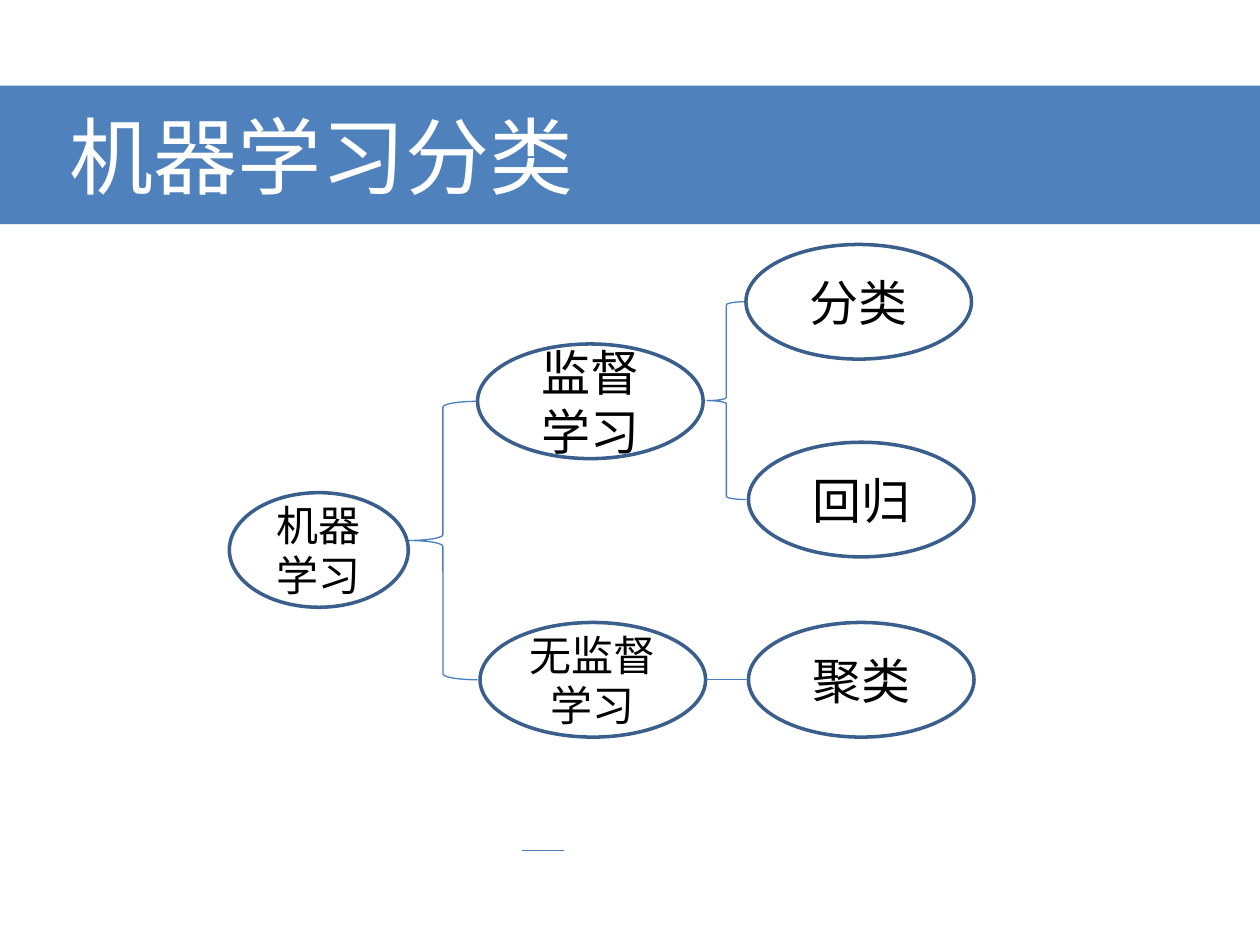
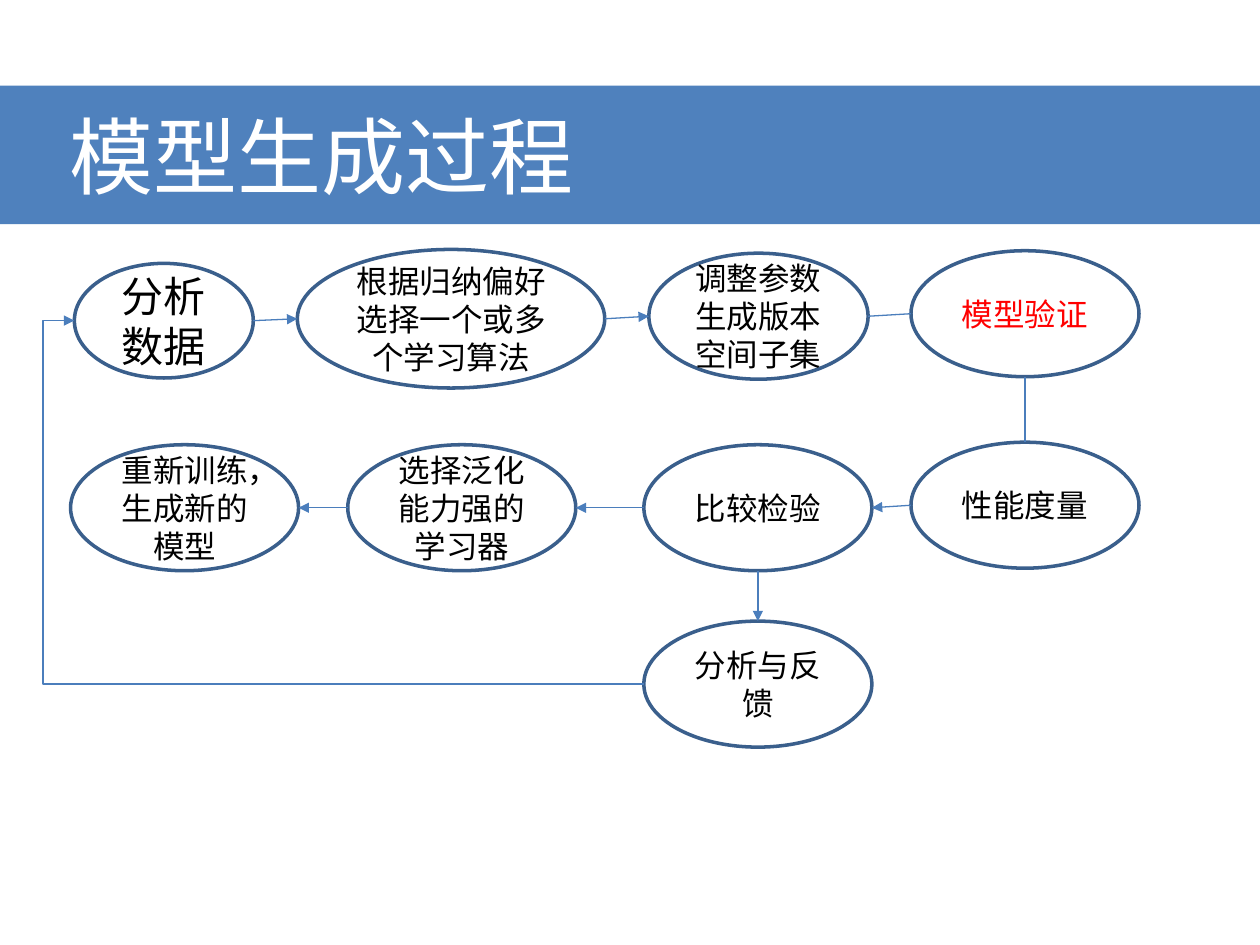
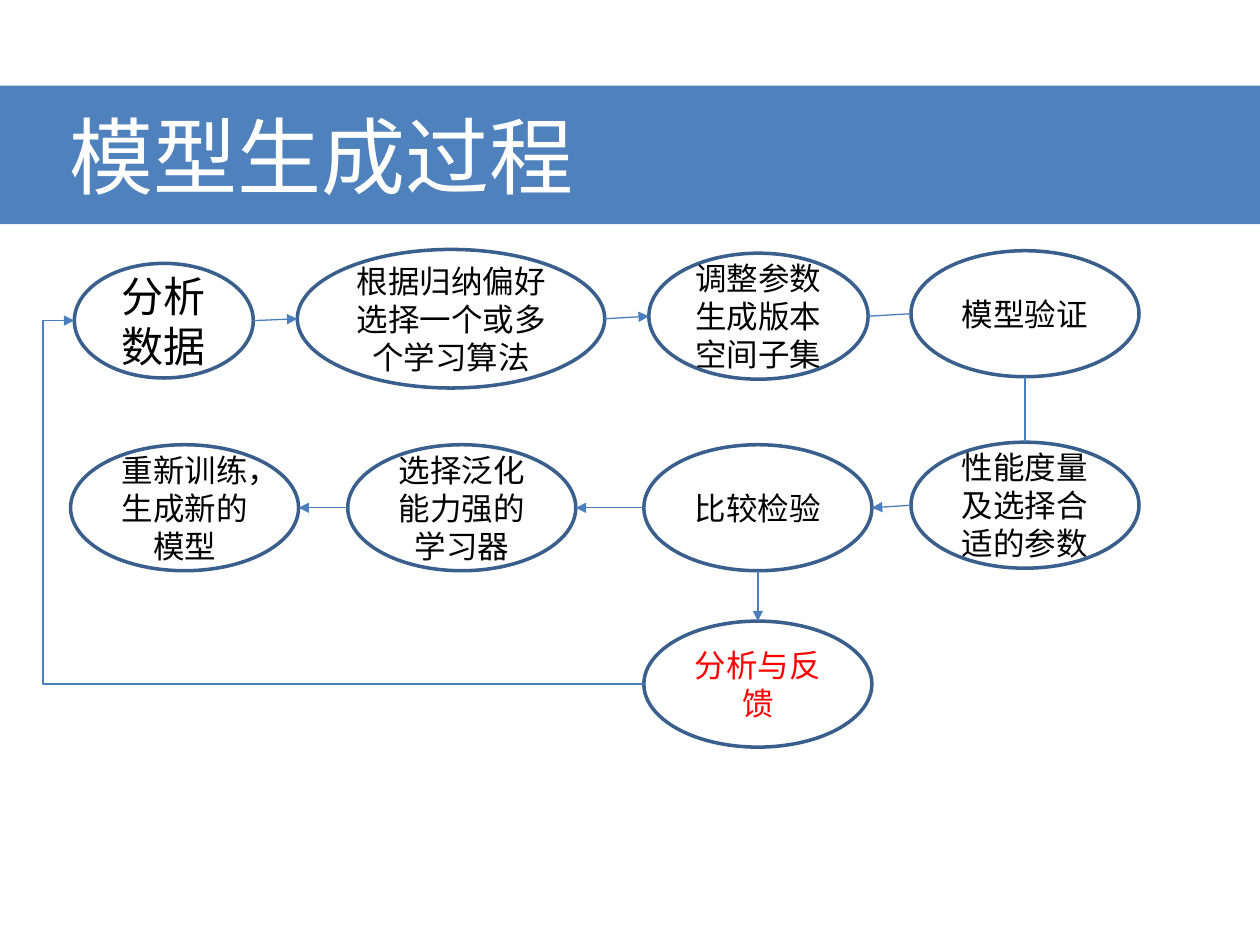
import pptx
import pptx.dml.color
import pptx.enum.shapes
import pptx.enum.text
import pptx.oxml.ns
import pptx.util
from lxml import etree

COLORS = {"band": "4F81BD", "title": "FFFFFF", "outline": "3A5F8C",
          "link": "4B7EBC", "text": "000000", "accent": "FF0000"}
LATIN, CJK = "Calibri", "Noto Sans CJK SC"
SLIDE_W, SLIDE_H = pptx.util.Inches(10), pptx.util.Inches(7.5)
COLS, ROWS = 100, 75
BAND = (0, 6.8, 100, 11)
BODY = (0, 18, 100, 57)
TOP, LEFT, BOTTOM, RIGHT = range(4)
SHAPE = pptx.enum.shapes.MSO_SHAPE
CONNECTOR = pptx.enum.shapes.MSO_CONNECTOR
ALIGN = pptx.enum.text.PP_ALIGN

TREE = {
    "root": ("机器学习", 24, (18.2, 21.1, 14.2, 9.1)),
    "supervised": ("监督学习", 28, (37.9, 9.3, 17.9, 9.1)),
    "unsupervised": ("无监督学习", 24, (38.1, 31.4, 17.9, 9.1)),
    "classification": ("分类", 28, (59.2, 1.4, 17.9, 9.1)),
    "regression": ("回归", 28, (59.4, 17.1, 17.9, 9.1)),
    "clustering": ("聚类", 28, (59.4, 31.4, 17.9, 9.1)),
}
FLOW = {
    "analyse": ("分析数据", 24, (5.9, 2.9, 14.2, 9.1)),
    "choose": ("根据归纳偏好选择一个或多个学习算法", 18, (23.6, 1.8, 24.4, 11)),
    "tune": ("调整参数生成版本空间子集", 18, (51.5, 2.1, 17.4, 10)),
    "validate": ("模型验证", 18, (72.3, 1.9, 18.1, 10)),
    "measure": ("性能度量", 18, (72.3, 17.1, 18.1, 10)),
    "compare": ("比较检验", 18, (51.1, 17.3, 18.1, 10)),
    "select": ("选择泛化能力强的学习器", 18, (27.6, 17.3, 18.1, 10)),
    "retrain": ("重新训练，生成新的模型", 18, (5.6, 17.3, 18.1, 10)),
    "feedback": ("分析与反馈", 18, (51.1, 31.3, 18.1, 10)),
}
FLOW_LINKS = [
    ("analyse", RIGHT, "choose", LEFT, True),
    ("choose", RIGHT, "tune", LEFT, True),
    ("tune", RIGHT, "validate", LEFT, False),
    ("validate", BOTTOM, "measure", TOP, False),
    ("measure", LEFT, "compare", RIGHT, True),
    ("compare", LEFT, "select", RIGHT, True),
    ("select", LEFT, "retrain", RIGHT, True),
    ("compare", BOTTOM, "feedback", TOP, True),
]


def rgb(name):
    return pptx.dml.color.RGBColor.from_string(COLORS[name])


def col(n):
    return round(SLIDE_W * n / COLS)


def row(n):
    return round(SLIDE_H * n / ROWS)


def add_shape(s, kind, box, cell, line=None, width=0.75):
    x, y, w, h = cell
    sp = s.shapes.add_shape(kind, col(box[0] + x), row(box[1] + y), col(w), row(h))
    sp.shadow.inherit = False
    sp.fill.background()
    if line:
        sp.line.color.rgb = rgb(line)
        sp.line.width = pptx.util.Pt(width)
    else:
        sp.line.fill.background()
    return sp


def set_text(sp, text, size, color, font, align):
    tf = sp.text_frame
    tf.word_wrap = True
    tf.vertical_anchor = pptx.enum.text.MSO_ANCHOR.MIDDLE
    p = tf.paragraphs[0]
    p.text = text
    p.alignment = align
    r = p.runs[0]
    r.font.size = pptx.util.Pt(size)
    r.font.name = font
    r.font.color.rgb = rgb(color)
    ea = etree.SubElement(r.font._element, pptx.oxml.ns.qn("a:ea"))
    ea.set("typeface", CJK)


def add_band(s, box, title):
    sp = add_shape(s, SHAPE.RECTANGLE, box, (0, 0, box[2], box[3]))
    sp.fill.solid()
    sp.fill.fore_color.rgb = rgb("band")
    sp.text_frame.margin_left = col(5.5)
    set_text(sp, title, 48, "title", CJK, ALIGN.LEFT)


def add_nodes(s, box, nodes, accent=None):
    shapes = {}
    for key, (text, size, cell) in nodes.items():
        sp = add_shape(s, SHAPE.OVAL, box, cell, "outline", 2)
        set_text(sp, text, size, "accent" if key == accent else "text", LATIN, ALIGN.CENTER)
        shapes[key] = sp
    return shapes


def add_line(s, kind=CONNECTOR.STRAIGHT, ends=(0, 0, 0, 0), arrow=False):
    cxn = s.shapes.add_connector(kind, *ends)
    cxn.line.color.rgb = rgb("link")
    cxn.line.width = pptx.util.Pt(0.75)
    if arrow:
        tail = etree.SubElement(cxn.line._get_or_add_ln(), pptx.oxml.ns.qn("a:tailEnd"))
        tail.set("type", "triangle")
    etree.SubElement(cxn._element.spPr, pptx.oxml.ns.qn("a:effectLst"))
    return cxn


def link(s, start, start_side, end, end_side, arrow=False, kind=CONNECTOR.STRAIGHT):
    cxn = add_line(s, kind, arrow=arrow)
    cxn.begin_connect(start, start_side)
    cxn.end_connect(end, end_side)
    # ovals
    for tag, side in (("stCxn", start_side), ("endCxn", end_side)):
        cxn._element.xpath(f".//a:{tag}")[0].set("idx", str(side * 2))
    return cxn


def add_brace(s, box, parent, first, last, gap=0):
    x, y, w, h = TREE[first][2]
    left = TREE[parent][2][0] + TREE[parent][2][2] + gap
    cell = (left, y + h / 2, x - left, TREE[last][2][1] - y)
    add_shape(s, SHAPE.LEFT_BRACE, box, cell, "link")


def add_tree(s, box):
    add_brace(s, box, "root", "supervised", "unsupervised")
    add_brace(s, box, "supervised", "classification", "regression", 0.3)
    nodes = add_nodes(s, box, TREE)
    link(s, nodes["unsupervised"], RIGHT, nodes["clustering"], LEFT)
    y = row(box[1] + 49.5)
    add_line(s, ends=(col(box[0] + 41.4), y, col(box[0] + 44.8), y))


def add_flow(s, box, accent, changes):
    steps = {key: (changes.get(key, text), size, cell)
             for key, (text, size, cell) in FLOW.items()}
    nodes = add_nodes(s, box, steps, accent)
    for start, start_side, end, end_side, arrow in FLOW_LINKS:
        link(s, nodes[start], start_side, nodes[end], end_side, arrow)
    loop = link(s, nodes["feedback"], LEFT, nodes["analyse"], LEFT, True, CONNECTOR.ELBOW)
    geom = loop._element.spPr.find(pptx.oxml.ns.qn("a:prstGeom"))
    guides = geom.find(pptx.oxml.ns.qn("a:avLst"))
    guide = etree.SubElement(guides, pptx.oxml.ns.qn("a:gd"))
    guide.set("name", "adj1")
    guide.set("fmla", "val 105500")


def add_slide(prs, title):
    s = prs.slides.add_slide(prs.slide_layouts[6])
    add_band(s, BAND, title)
    return s


def main():
    prs = pptx.Presentation()
    prs.slide_width, prs.slide_height = SLIDE_W, SLIDE_H
    add_tree(add_slide(prs, "机器学习分类"), BODY)
    for accent, changes in (("validate", {}),
                            ("feedback", {"measure": "性能度量及选择合适的参数"})):
        add_flow(add_slide(prs, "模型生成过程"), BODY, accent, changes)
    prs.save("out.pptx")


if __name__ == "__main__":
    main()
